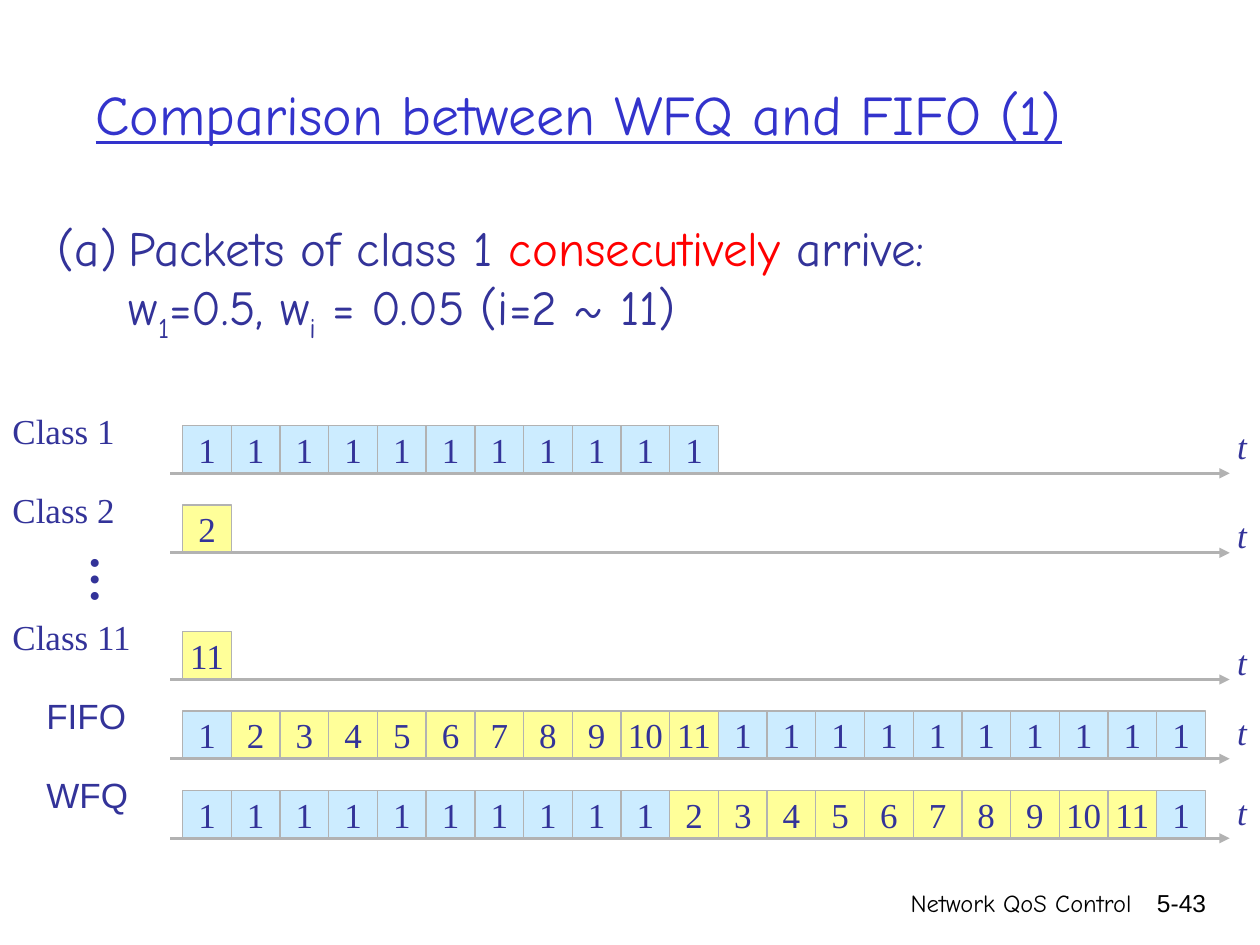
from lxml.etree import SubElement
from pptx import Presentation
from pptx.dml.color import RGBColor
from pptx.enum.shapes import MSO_CONNECTOR, MSO_SHAPE
from pptx.enum.text import MSO_ANCHOR, MSO_AUTO_SIZE, PP_ALIGN
from pptx.oxml.ns import qn
from pptx.util import Pt

TITLE_BLUE = RGBColor(0x33, 0x33, 0xCC)
NAVY = RGBColor(0x33, 0x33, 0x99)
RED = RGBColor(0xFF, 0x00, 0x00)
BLACK = RGBColor(0x00, 0x00, 0x00)
GRAY = RGBColor(0xB2, 0xB2, 0xB2)
LIGHT_BLUE = RGBColor(0xCC, 0xEC, 0xFF)
YELLOW = RGBColor(0xFF, 0xFF, 0x99)

COMIC = "Comic Neue"
TIMES = "Times New Roman"
ARIAL = "Arial"

CELL_WIDTH = 27.83
CELL_HEIGHT = 27.3
FIRST_CELL_INSET = 7.2
AXIS_LEFT = 97.2
AXIS_WIDTH = 605.5
LABEL_RISE = 40.3
TIME_LEFT = 699.8


def style(para, size, face, color):
    para.font.size = Pt(size)
    para.font.name = face
    para.font.color.rgb = color


def add_text(page, box, text, size, face, color, wrap=False):
    shape = page.shapes.add_textbox(*map(Pt, box))
    frame = shape.text_frame
    frame.word_wrap = wrap
    if not wrap:
        frame.auto_size = MSO_AUTO_SIZE.SHAPE_TO_FIT_TEXT
    para = frame.paragraphs[0]
    para.text = text
    style(para, size, face, color)
    return shape


def add_title(page, box):
    title = add_text(page, box, "Comparison between WFQ and FIFO (1)", 32, COMIC, TITLE_BLUE, True)
    title.text_frame.vertical_anchor = MSO_ANCHOR.MIDDLE
    title.text_frame.paragraphs[0].font.underline = True


def add_scenario(page, box):
    frame = page.shapes.add_textbox(*map(Pt, box)).text_frame
    frame.word_wrap = True
    arrival, weights = frame.paragraphs[0], frame.add_paragraph()
    for para, indent in ((arrival, -40.5), (weights, 0)):
        properties = para._p.get_or_add_pPr()
        properties.set("marL", str(Pt(40.5)))
        properties.set("indent", str(Pt(indent)))
    SubElement(arrival._p.pPr, qn("a:buFont"), typeface=COMIC)
    SubElement(arrival._p.pPr, qn("a:buAutoNum"), type="alphaLcParenBoth")
    SubElement(weights._p.pPr, qn("a:buNone"))
    for para in (arrival, weights):
        style(para, 28, COMIC, NAVY)

    for text, color in (("Packets of class 1 ", NAVY), ("consecutively", RED), (" arrive:", NAVY)):
        span = arrival.add_run()
        span.text = text
        span.font.color.rgb = color
    for text, is_subscript in (("w", False), ("1", True), ("=0.5, w", False), ("i", True),
                               (" = 0.05 (i=2 ~ 11)", False)):
        span = weights.add_run()
        span.text = text
        if is_subscript:
            span.font._element.set("baseline", "-25000")


def add_packet(page, left, top, number):
    cell = page.shapes.add_shape(
        MSO_SHAPE.RECTANGLE, Pt(left), Pt(top), Pt(CELL_WIDTH), Pt(CELL_HEIGHT))
    cell.shadow.inherit = False
    cell.fill.solid()
    cell.fill.fore_color.rgb = LIGHT_BLUE if number == 1 else YELLOW
    cell.line.color.rgb = GRAY
    cell.line.width = Pt(0.75)
    frame = cell.text_frame
    frame.word_wrap = False
    frame.vertical_anchor = MSO_ANCHOR.MIDDLE
    para = frame.paragraphs[0]
    para.text = str(number)
    para.alignment = PP_ALIGN.CENTER
    style(para, 20, TIMES, NAVY)


def add_axis(page, left, top, width):
    axis = page.shapes.add_connector(
        MSO_CONNECTOR.STRAIGHT, Pt(left), Pt(top), Pt(left + width), Pt(top))
    axis.line.color.rgb = GRAY
    axis.line.width = Pt(1.5)
    SubElement(axis.line._get_or_add_ln(), qn("a:tailEnd"), type="triangle")
    SubElement(axis._element.spPr, qn("a:effectLst"))


def add_timeline(page, axis_top, label, label_box, face, time_rise, packets):
    label_left, label_width = label_box
    add_text(page, (label_left, axis_top - LABEL_RISE, label_width, 31.5), label, 20, face, NAVY)
    for index, number in enumerate(packets):
        add_packet(page, AXIS_LEFT + FIRST_CELL_INSET + index * CELL_WIDTH,
                   axis_top - CELL_HEIGHT, number)
    add_axis(page, AXIS_LEFT, axis_top, AXIS_WIDTH)
    time = add_text(page, (TIME_LEFT, axis_top - time_rise, 20.2, 31.5), "t", 20, TIMES, NAVY)
    time.text_frame.paragraphs[0].font.italic = True


def add_ellipsis(page, box):
    dots = add_text(page, box, "…", 28, TIMES, NAVY)
    dots.rotation = 270
    dots.text_frame.paragraphs[0].font.bold = True


def add_footer(page, top):
    for left, width, text, face in ((349.9, 303.9, "Network QoS Control", COMIC),
                                    (643, 53.3, "5-43", ARIAL)):
        footer = add_text(page, (left, top, width, 36), text, 14, face, BLACK, True)
        footer.text_frame.paragraphs[0].alignment = PP_ALIGN.RIGHT


def main():
    deck = Presentation()
    deck.slide_width, deck.slide_height = Pt(720), Pt(540)
    page = deck.slides.add_slide(deck.slide_layouts[6])
    add_title(page, (47.5, 16.5, 618.5, 96.5))
    add_scenario(page, (26, 121, 577.5, 75))

    others = list(range(2, 12))
    timelines = (
        (270.5, "Class 1", (0, 73.4), TIMES, 31.5, [1] * 11),
        (315.9, "Class 2", (0, 73.4), TIMES, 25.9, [2]),
        (388.3, "Class 11", (0, 82.8), TIMES, 25.9, [11]),
        (433.6, "FIFO", (19.4, 59.8), ARIAL, 31, [1] + others + [1] * 10),
        (479, "WFQ", (19.4, 61.2), ARIAL, 31, [1] * 10 + others + [1]),
    )
    for timeline in timelines:
        add_timeline(page, *timeline)
    add_ellipsis(page, (23.8, 311, 42.5, 41))
    add_footer(page, 504)
    deck.save("out.pptx")


if __name__ == "__main__":
    main()
